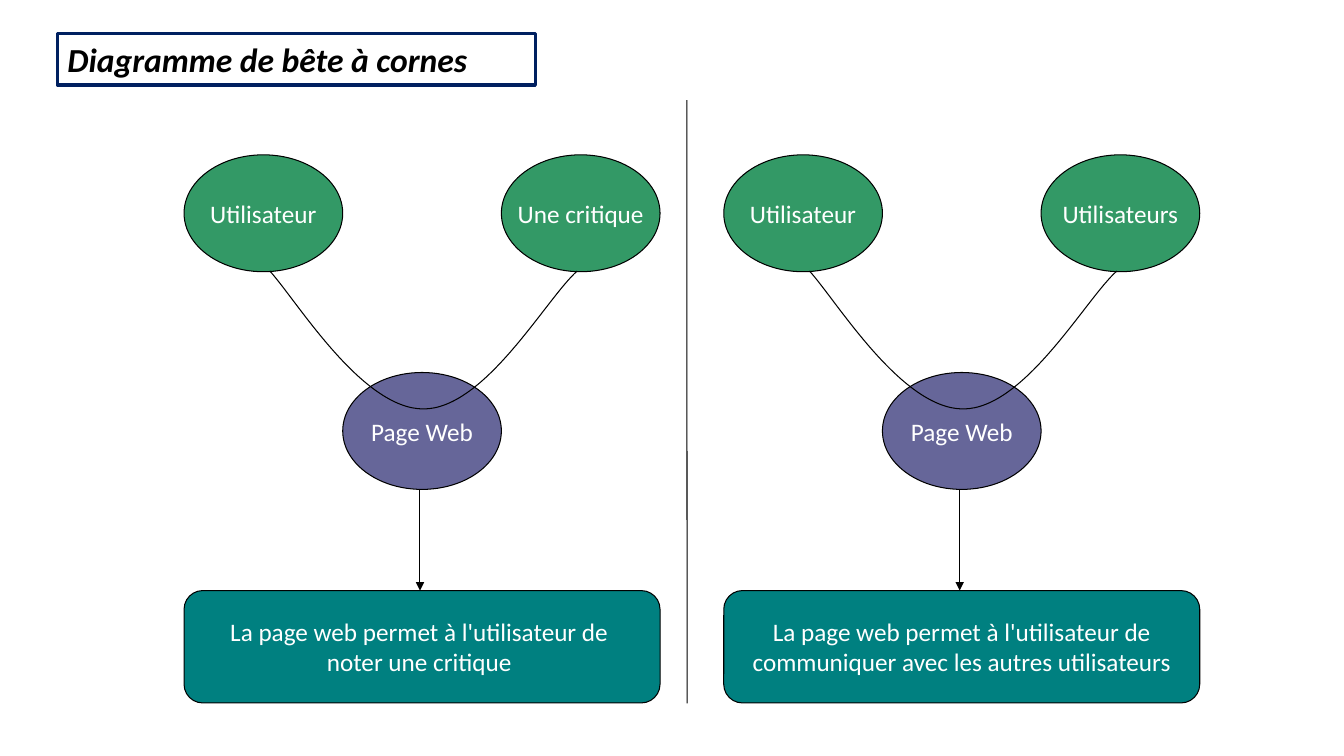
from lxml import etree
from pptx import Presentation
from pptx.dml.color import RGBColor
from pptx.enum.shapes import MSO_CONNECTOR, MSO_SHAPE
from pptx.enum.text import MSO_ANCHOR, MSO_AUTO_SIZE, PP_ALIGN
from pptx.oxml.ns import qn
from pptx.util import Pt

OVAL = MSO_SHAPE.OVAL
ROUND = MSO_SHAPE.ROUNDED_RECTANGLE
STRAIGHT = MSO_CONNECTOR.STRAIGHT
MIDDLE = MSO_ANCHOR.MIDDLE
FIXED = MSO_AUTO_SIZE.NONE
LEFT, CENTER = PP_ALIGN.LEFT, PP_ALIGN.CENTER

COLORS = {
    "actor": "339966",
    "web": "666699",
    "goal": "008080",
    "frame": "002060",
    "ink": "000000",
    "light": "FFFFFF",
}
FONT = "Calibri"


def rgb(name):
    return RGBColor.from_string(COLORS[name])


def outline(shape, color="ink", width=0.75):
    shape.line.color.rgb = rgb(color)
    shape.line.width = Pt(width)


def write(shape, text, size, color, align):
    frame = shape.text_frame
    frame.text = text
    frame.vertical_anchor = MIDDLE
    for para in frame.paragraphs:
        para.alignment = align
        for run in para.runs:
            run.font.name = FONT
            run.font.size = Pt(size)
            run.font.color.rgb = rgb(color)


def add_node(slide, kind, box, color, text):
    node = slide.shapes.add_shape(kind, *map(Pt, box))
    node.shadow.inherit = False
    node.fill.solid()
    node.fill.fore_color.rgb = rgb(color)
    outline(node)
    write(node, text, 18, "light", CENTER)
    node.text_frame.word_wrap = False


def add_line(slide, start, end, arrow=False):
    line = slide.shapes.add_connector(STRAIGHT, *map(Pt, start + end))
    outline(line)
    if arrow:
        etree.SubElement(line.line._get_or_add_ln(), qn("a:tailEnd"), type="triangle")
    etree.SubElement(line._element.spPr, qn("a:effectLst"))


def bend(curve):
    """Turn each three line segments of a freeform into one cubic curve."""
    route = next(curve._element.iter(qn("a:path")))
    lines = route.findall(qn("a:lnTo"))
    for first in range(0, len(lines), 3):
        cubic = etree.SubElement(route, qn("a:cubicBezTo"))
        for line in lines[first:first + 3]:
            cubic.append(line[0])
            route.remove(line)


def add_horns(slide, left, top, width, height):
    """Draw the curve that dips from one actor to the other."""
    right, mid, low = left + width, left + width / 2, top + height
    points = [
        (left, top), (left + 19.5, top + 21.5), (mid - 44, low), (mid, low),
        (mid + 44, low), (right - 22, top + 19.5), (right, top),
    ]
    points = [(Pt(x), Pt(y)) for x, y in points]
    pen = slide.shapes.build_freeform(*points[0])
    pen.add_line_segments(points[1:], close=False)
    curve = pen.convert_to_shape()
    bend(curve)
    curve.shadow.inherit = False
    curve.fill.background()
    outline(curve)


def add_title(slide, left, top, width, height):
    title = slide.shapes.title
    title.left, title.top = Pt(left), Pt(top)
    title.width, title.height = Pt(width), Pt(height)
    outline(title, "frame", 2.25)
    write(title, "Diagramme de bête à cornes", 24, "ink", LEFT)
    title.text_frame.auto_size = FIXED
    title.text_frame.word_wrap = True
    font = title.text_frame.paragraphs[0].runs[0].font
    font.bold = font.italic = True


def add_chart(slide, box, user, target, goal):
    """Draw one horned-beast diagram in its box."""
    left, top, width, height = box
    wide, high = width / 3, 83.5
    web_top, goal_top = top + 155.5, top + height - 80.25
    add_node(slide, OVAL, (left + wide, web_top, wide, high), "web", "Page Web")
    for col, text in ((2, target), (0, user)):
        add_node(slide, OVAL, (left + col * wide, top, wide, high), "actor", text)
    add_node(slide, ROUND, (left, goal_top, width, 80.25), "goal", goal)
    add_horns(slide, left + 61.25, top + 83, 219.5, 98.5)
    stem = left + width / 2 - 1.5
    add_line(slide, (stem, web_top + high), (stem, goal_top), arrow=True)


def main():
    deck = Presentation()
    deck.slide_width, deck.slide_height = Pt(960), Pt(540)
    slide = deck.slides.add_slide(deck.slide_layouts[5])
    add_title(slide, 41, 24.25, 341.5, 36.5)
    add_chart(slide, (131.5, 110.6, 340, 391.5), "Utilisateur", "Une critique",
              "La page web permet à l'utilisateur de \nnoter une critique ")
    add_line(slide, (490.6, 71.5), (490.8, 502.5))
    add_chart(slide, (517, 110.6, 340, 391.5), "Utilisateur", "Utilisateurs",
              "La page web permet à l'utilisateur de\ncommuniquer avec les autres utilisateurs")
    deck.save("out.pptx")


if __name__ == "__main__":
    main()
